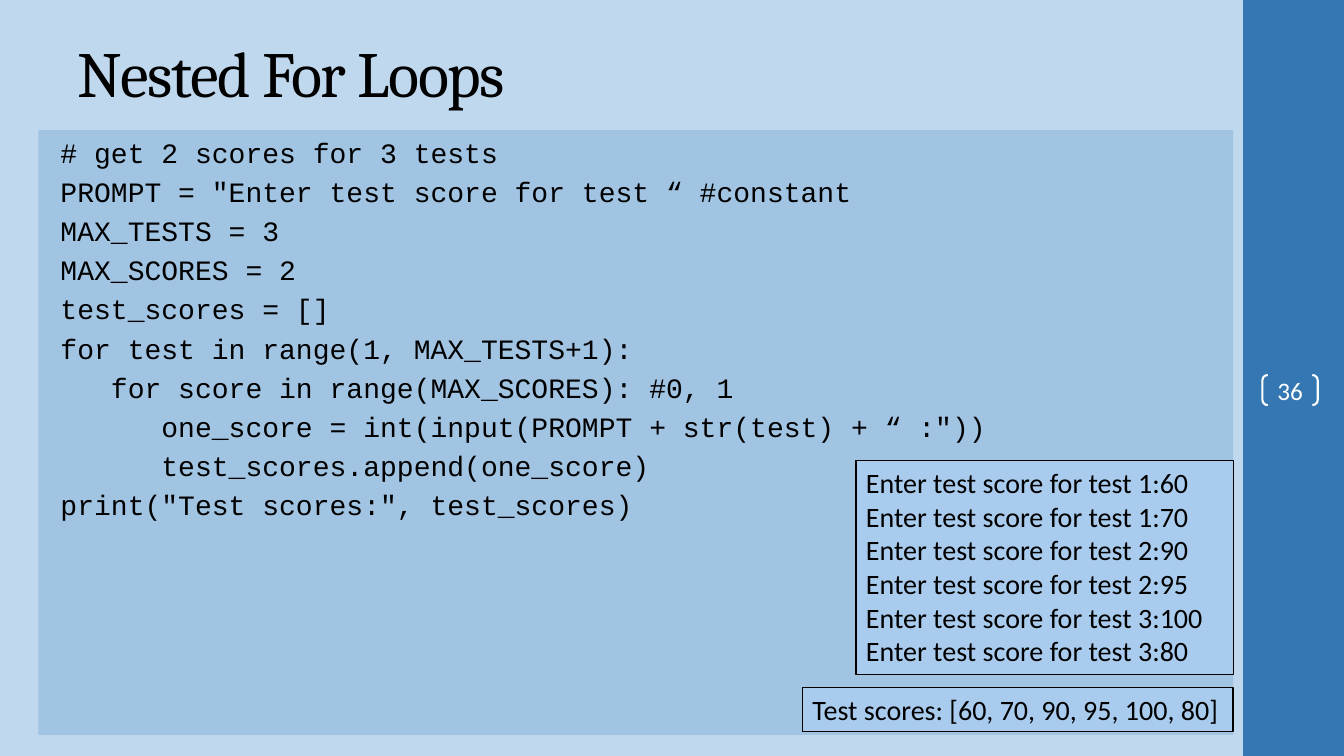
"""Build the slide that explains nested for loops with a code listing and its output."""
from dataclasses import dataclass
from typing import Optional

from lxml.etree import SubElement
from pptx import Presentation
from pptx.dml.color import RGBColor
from pptx.enum.shapes import MSO_SHAPE as Preset
from pptx.enum.text import MSO_ANCHOR as Anchor, MSO_AUTO_SIZE as AutoSize, PP_ALIGN as Align
from pptx.oxml.ns import qn
from pptx.util import Inches, Pt


@dataclass(frozen=True)
class Theme:
    page: str = "C0D8ED"
    rail: str = "3477B2"
    panel: str = "A1C4E3"
    output: str = "A9CCEE"
    ink: str = "000000"
    white: str = "FFFFFF"
    title_font: str = "Cambria"
    code_font: str = "Courier New"
    text_font: str = "Calibri"
    title_size: float = 46
    code_size: float = 20
    output_size: float = 20
    number_size: float = 18
    code_gap: float = 4
    title_tracking: int = -100


@dataclass(frozen=True)
class Box:
    left: float
    top: float
    width: float
    height: float
    fill: Optional[str] = None
    line: Optional[str] = None
    line_width: float = 0.75
    preset: Preset = Preset.RECTANGLE
    lines: tuple[str, ...] = ()


THEME = Theme()

TITLE = Box(0.67, 0.25, 11.11, 0.92, lines=("Nested For Loops",))
CODE = Box(0.38, 1.29, 11.85, 6, fill=THEME.panel, lines=(
    '# get 2 scores for 3 tests',
    'PROMPT = "Enter test score for test “ #constant',
    'MAX_TESTS = 3',
    'MAX_SCORES = 2',
    'test_scores = []',
    'for test in range(1, MAX_TESTS+1):',
    '   for score in range(MAX_SCORES): #0, 1',
    '      one_score = int(input(PROMPT + str(test) + “ :"))',
    '      test_scores.append(one_score)',
    'print("Test scores:", test_scores)',
))
RAIL = Box(12.33, 0, 1, 7.5, fill=THEME.rail)
PAGE_NUMBER = Box(12.52, 3.72, 0.55, 0.3, line=THEME.white, line_width=1.5,
                  preset=Preset.DOUBLE_BRACKET, lines=("36",))
ENTRIES = ("1:60", "1:70", "2:90", "2:95", "3:100", "3:80")
OUTPUTS = (
    Box(7.96, 6.82, 4.27, 0.44, fill=THEME.output, line=THEME.ink,
        lines=("Test scores: [60, 70, 90, 95, 100, 80]",)),
    Box(8.49, 4.57, 3.74, 2.12, fill=THEME.output, line=THEME.ink,
        lines=tuple(f"Enter test score for test {entry}" for entry in ENTRIES)),
)


def write(shape, lines: tuple[str, ...], *, font: str, size: float, color: str = THEME.ink,
          align: Align = Align.LEFT, anchor: Anchor = Anchor.TOP, gap: float = 0,
          indent: float = 0, tracking: int = 0) -> None:
    """Fill a shape with one paragraph per line in the given format."""
    frame = shape.text_frame
    frame.word_wrap = True
    frame.auto_size = AutoSize.NONE
    frame.vertical_anchor = anchor
    for index, line in enumerate(lines):
        paragraph = frame.add_paragraph() if index else frame.paragraphs[0]
        properties = paragraph._p.get_or_add_pPr()
        properties.set("marL", str(Inches(indent)))
        properties.set("indent", "0")
        SubElement(properties, qn("a:buNone"))
        paragraph.alignment = align
        paragraph.space_before = Pt(gap if index else 0)
        run = paragraph.add_run()
        run.text = line
        run.font.name = font
        run.font.size = Pt(size)
        run.font.color.rgb = RGBColor.from_string(color)
        if tracking:
            run.font._element.set("spc", str(tracking))


def paint(shape, color: str) -> None:
    """Give a shape a solid fill."""
    shape.fill.solid()
    shape.fill.fore_color.rgb = RGBColor.from_string(color)


def place(shape, box: Box) -> None:
    """Move a placeholder to its box and apply the box fill."""
    shape.left, shape.top = Inches(box.left), Inches(box.top)
    shape.width, shape.height = Inches(box.width), Inches(box.height)
    if box.fill:
        paint(shape, box.fill)


def draw(slide, box: Box):
    """Add a preset shape with the fill and outline of its box."""
    shape = slide.shapes.add_shape(box.preset, Inches(box.left), Inches(box.top),
                                   Inches(box.width), Inches(box.height))
    shape.shadow.inherit = False
    if box.fill:
        paint(shape, box.fill)
    else:
        shape.fill.background()
    if box.line:
        shape.line.color.rgb = RGBColor.from_string(box.line)
        shape.line.width = Pt(box.line_width)
    else:
        shape.line.fill.background()
    return shape


def main() -> None:
    """Create the presentation and save it."""
    deck = Presentation()
    deck.slide_width, deck.slide_height = Inches(13.33), Inches(7.5)
    slide = deck.slides.add_slide(deck.slide_layouts[1])
    paint(slide.background, THEME.page)

    title, code = slide.shapes.title, slide.placeholders[1]
    place(title, TITLE)
    write(title, TITLE.lines, font=THEME.title_font, size=THEME.title_size,
          anchor=Anchor.MIDDLE, tracking=THEME.title_tracking)
    place(code, CODE)
    write(code, CODE.lines, font=THEME.code_font, size=THEME.code_size,
          gap=THEME.code_gap, indent=0.12)

    draw(slide, RAIL)
    number = draw(slide, PAGE_NUMBER)
    number.adjustments[0] = 0.18
    frame = number.text_frame
    frame.margin_left = frame.margin_right = frame.margin_top = frame.margin_bottom = 0
    write(number, PAGE_NUMBER.lines, font=THEME.text_font, size=THEME.number_size,
          color=THEME.white, align=Align.CENTER, anchor=Anchor.MIDDLE)

    for output in OUTPUTS:
        write(draw(slide, output), output.lines, font=THEME.text_font, size=THEME.output_size)

    deck.save("out.pptx")


if __name__ == "__main__":
    main()
